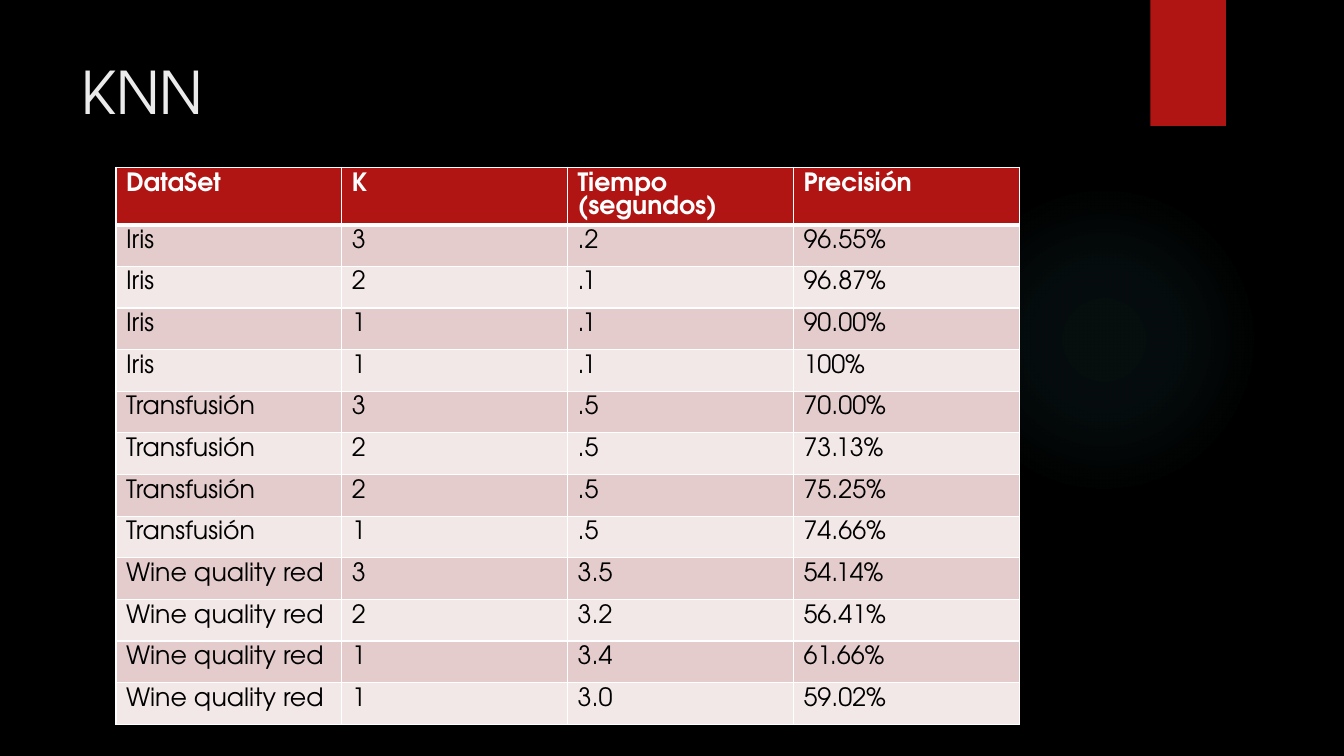
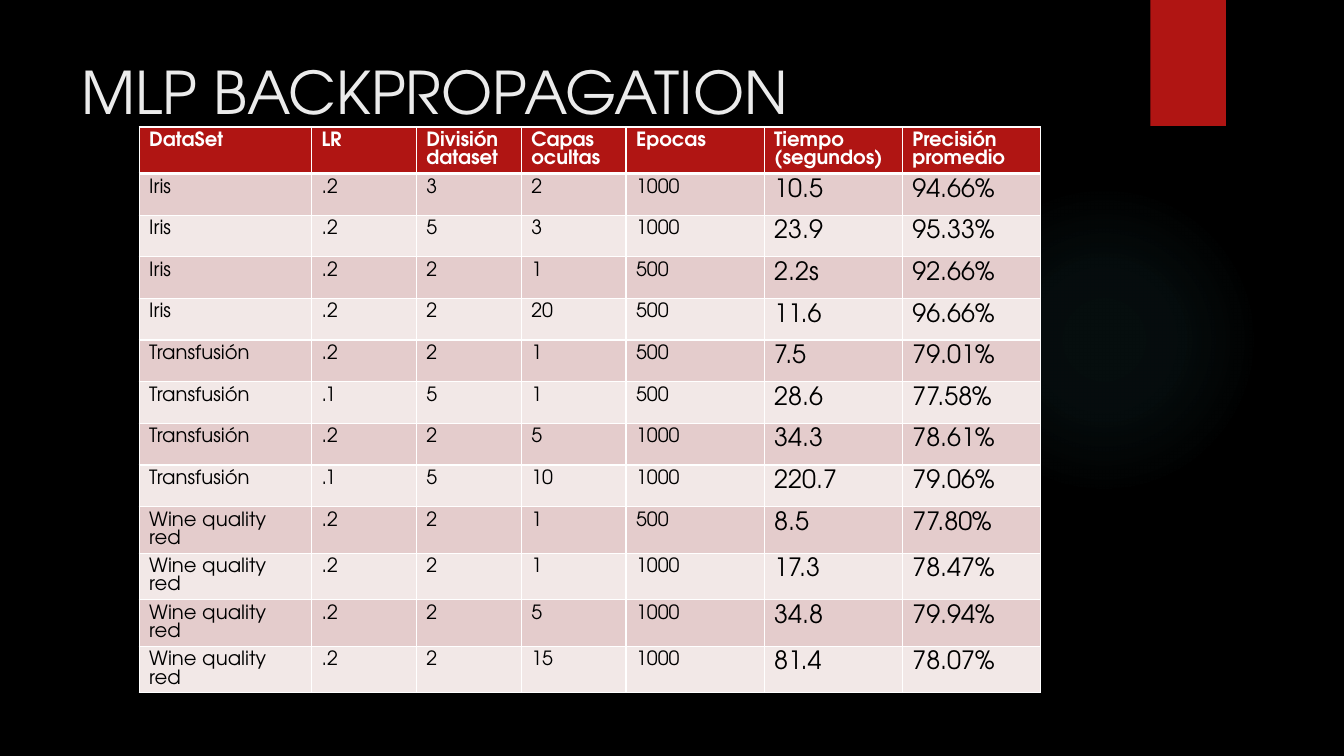
from pptx import Presentation
from pptx.dml.color import RGBColor
from pptx.enum.shapes import MSO_SHAPE as Preset
from pptx.oxml import parse_xml
from pptx.oxml.ns import nsdecls, qn
from pptx.util import Inches, Pt

FONT = "TeX Gyre Adventor"
BLACK, WHITE, RED, TITLE_GRAY, GLOW = "000000", "FFFFFF", "B01513", "EBEBEB", "50B9C1"
BANDS = ("E4CCCC", "F2E8E7")
GLOW_STOPS = ((0, 7), (36, 6), (69, 0))
ROW_HEIGHT = Inches(4.96) / 12
LINE_RATIO = 0.93

SLIDES = [
    {
        "title": "KNN",
        "position": (1.15, 1.66),
        "widths": [2.24] * 4,
        "sizes": [18] * 4,
        "header_size": 18,
        "header_height": 0.57,
        "wrapped": {},
        "header": ("DataSet", "K", "Tiempo (segundos)", "Precisión"),
        "rows": [
            ("Iris", "3", ".2", "96.55%"),
            ("Iris", "2", ".1", "96.87%"),
            ("Iris", "1", ".1", "90.00%"),
            ("Iris", "1", ".1", "100%"),
            ("Transfusión", "3", ".5", "70.00%"),
            ("Transfusión", "2", ".5", "73.13%"),
            ("Transfusión", "2", ".5", "75.25%"),
            ("Transfusión", "1", ".5", "74.66%"),
            ("Wine quality red", "3", "3.5", "54.14%"),
            ("Wine quality red", "2", "3.2", "56.41%"),
            ("Wine quality red", "1", "3.4", "61.66%"),
            ("Wine quality red", "1", "3.0", "59.02%"),
        ],
    },
    {
        "title": "MLP BACKPROPAGATION",
        "position": (1.38, 1.26),
        "widths": [1.71] + [1.04] * 3 + [1.37] * 3,
        "sizes": [14] * 5 + [18] * 2,
        "header_size": 14,
        "header_height": 0.46,
        "wrapped": {"Wine quality red": 0.46},
        "header": ("DataSet", "LR", "División\vdataset", "Capas ocultas", "Epocas",
                   "Tiempo (segundos)", "Precisión promedio"),
        "rows": [
            ("Iris", ".2", "3", "2", "1000", "10.5", "94.66%"),
            ("Iris", ".2", "5", "3", "1000", "23.9", "95.33%"),
            ("Iris", ".2", "2", "1", "500", "2.2s", "92.66%"),
            ("Iris", ".2", "2", "20", "500", "11.6", "96.66%"),
            ("Transfusión", ".2", "2", "1", "500", "7.5", "79.01%"),
            ("Transfusión", ".1", "5", "1", "500", "28.6", "77.58%"),
            ("Transfusión", ".2", "2", "5", "1000", "34.3", "78.61%"),
            ("Transfusión", ".1", "5", "10", "1000", "220.7", "79.06%"),
            ("Wine quality red", ".2", "2", "1", "500", "8.5", "77.80%"),
            ("Wine quality red", ".2", "2", "1", "1000", "17.3", "78.47%"),
            ("Wine quality red", ".2", "2", "5", "1000", "34.8", "79.94%"),
            ("Wine quality red", ".2", "2", "15", "1000", "81.4", "78.07%"),
        ],
    },
]


def paint(fill, color):
    fill.solid()
    fill.fore_color.rgb = RGBColor.from_string(color)


def write(paragraph, text, color, **formats):
    paragraph.text = text
    for name, value in {"name": FONT, **formats}.items():
        setattr(paragraph.font, name, value)
        for run in paragraph.runs:
            setattr(run.font, name, value)
    for run in paragraph.runs:
        run.font.color.rgb = RGBColor.from_string(color)


def add_plain_shape(slide, preset, *box):
    shape = slide.shapes.add_shape(preset, *map(Inches, box))
    shape.shadow.inherit = False
    shape.line.fill.background()
    return shape


def add_glow(slide):
    shape = add_plain_shape(slide, Preset.OVAL, 9.41, 1.83, 3.08, 3.08)
    shape.fill.background()
    stops = "".join(
        f'<a:gs pos="{position * 1000}"><a:srgbClr val="{GLOW}">'
        f'<a:alpha val="{alpha * 1000}"/></a:srgbClr></a:gs>'
        for position, alpha in GLOW_STOPS)
    gradient = parse_xml(
        f'<a:gradFill {nsdecls("a")}><a:gsLst>{stops}</a:gsLst><a:path path="circle">'
        '<a:fillToRect l="50000" t="50000" r="50000" b="50000"/></a:path></a:gradFill>')
    properties = shape._element.spPr
    properties.replace(properties.find(qn("a:noFill")), gradient)


def add_base(presentation, title):
    slide = presentation.slides.add_slide(presentation.slide_layouts[6])
    paint(slide.background.fill, BLACK)
    add_glow(slide)
    paint(add_plain_shape(slide, Preset.RECTANGLE, 11.41, 0, 0.75, 1.25).fill, RED)
    frame = slide.shapes.add_textbox(*map(Inches, (0.71, 0.5, 10.29, 1.53))).text_frame
    frame.word_wrap = True
    write(frame.paragraphs[0], title, TITLE_GRAY, size=Pt(42))
    return slide


def add_borders(cell, top, bottom):
    properties = cell._tc.get_or_add_tcPr()
    for side, width in {"L": 1, "R": 1, "T": top, "B": bottom}.items():
        properties.append(parse_xml(
            f'<a:ln{side} {nsdecls("a")} w="{Pt(width)}"><a:solidFill>'
            f'<a:srgbClr val="{WHITE}"/></a:solidFill></a:ln{side}>'))


def fill_cell(cell, text, row, size):
    is_header = row == 0
    add_borders(cell, 3 if row == 1 else 1, 3 if is_header else 1)
    paint(cell.fill, RED if is_header else BANDS[(row - 1) % 2])
    paragraph = cell.text_frame.paragraphs[0]
    paragraph.line_spacing = Pt(size * LINE_RATIO)
    write(paragraph, text, WHITE if is_header else BLACK, size=Pt(size), bold=is_header)


def add_results(slide, content):
    rows = [content["header"], *content["rows"]]
    wrapped = content["wrapped"]
    heights = [Inches(content["header_height"])] + [
        Inches(wrapped[row[0]]) if row[0] in wrapped else int(ROW_HEIGHT)
        for row in content["rows"]]
    widths = [Inches(width) for width in content["widths"]]
    left, top = map(Inches, content["position"])
    table = slide.shapes.add_table(
        len(rows), len(widths), left, top, sum(widths), sum(heights)).table
    for column, width in zip(table.columns, widths):
        column.width = width
    for index, (values, height) in enumerate(zip(rows, heights)):
        table.rows[index].height = height
        sizes = content["sizes"] if index else [content["header_size"]] * len(values)
        for column, (text, size) in enumerate(zip(values, sizes)):
            fill_cell(table.cell(index, column), text, index, size)


def main():
    presentation = Presentation()
    presentation.slide_width, presentation.slide_height = Inches(13.33), Inches(7.5)
    for content in SLIDES:
        add_results(add_base(presentation, content["title"]), content)
    presentation.save("out.pptx")


if __name__ == "__main__":
    main()
